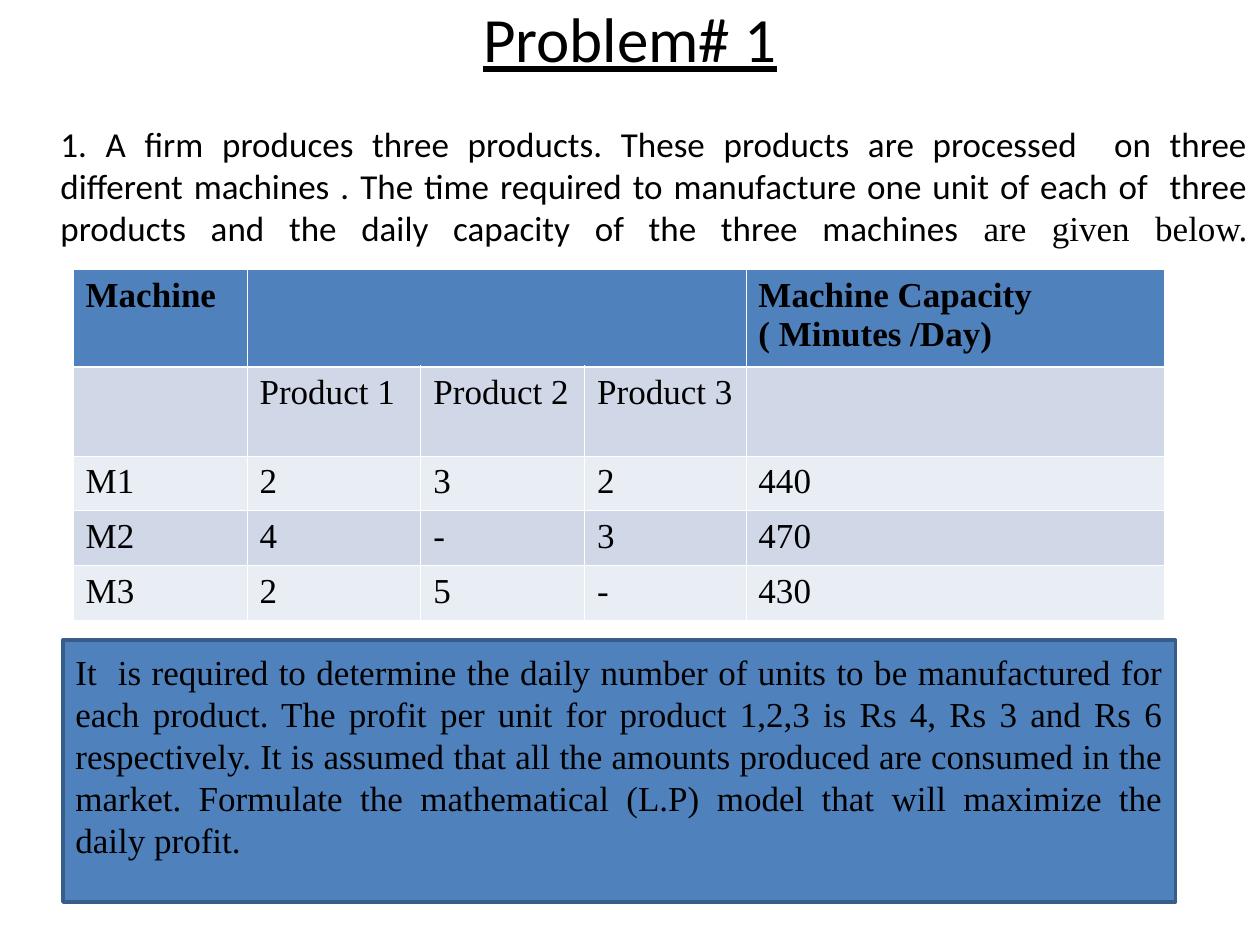
from lxml import etree
from pptx import Presentation, util as u
from pptx.dml.color import RGBColor
from pptx.enum import shapes, text
from pptx.oxml.ns import qn

BLACK = RGBColor(0x00, 0x00, 0x00)
BLUE = RGBColor(0x4F, 0x81, 0xBD)
DARK_BLUE = RGBColor(0x38, 0x5D, 0x8A)
BAND = RGBColor(0xD0, 0xD8, 0xE8)
PALE = RGBColor(0xE9, 0xED, 0xF4)
WHITE = RGBColor(0xFF, 0xFF, 0xFF)
SANS, SERIF = "Calibri", "Times New Roman"

COLUMNS = [1.38, 1.38, 1.3, 1.28, 3.32]
ROWS = [0.77, 0.71, 0.43, 0.43, 0.43]
CELLS = [
    ["Machine", "", "", "", "Machine Capacity ( Minutes /Day)"],
    ["", "Product 1", "Product 2", "Product 3", ""],
    ["M1", "2", "3", "2", "440"],
    ["M2", "4", "-", "3", "470"],
    ["M3", "2", "5", "-", "430"],
]
INTRO = ("1. A firm produces three products. These products are processed  on three "
         "different machines . The time required to manufacture one unit of each of  "
         "three products and the daily capacity of the three machines ")
TASK = ("It  is required to determine the daily number of units to be manufactured for "
        "each product. The profit per unit for product 1,2,3 is Rs 4, Rs 3 and Rs 6 "
        "respectively. It is assumed that all the amounts produced are consumed in the "
        "market. Formulate the mathematical (L.P) model that will maximize the daily profit.")


def style(font, name, size=20, bold=False):
    font.name, font.size, font.bold = name, u.Pt(size), bold
    font.color.rgb = BLACK


def add_text(s, left, top, width, height):
    sp = s.shapes.add_textbox(*map(u.Inches, (left, top, width, height)))
    tf = sp.text_frame
    tf.word_wrap = True
    return tf


def add_title(s, words):
    tf = add_text(s, 0.5, 0, 9, 0.83)
    tf.margin_top = 0
    p = tf.paragraphs[0]
    p.text = words
    p.alignment = text.PP_ALIGN.CENTER
    style(p.font, SANS, 36)
    p.font.underline = True


def add_intro(s):
    tf = add_text(s, 0, 0.92, 10, 1.2)
    tf.margin_left = u.Inches(0.48)
    p = tf.paragraphs[0]
    p.alignment = text.PP_ALIGN.JUSTIFY
    for words, name in ((INTRO, SANS), ("are given below.", SERIF)):
        r = p.add_run()
        r.text = words
        style(r.font, name)
    p.add_line_break()  # stretches the last line to full width


def set_borders(cell, widths):
    tcPr = cell._tc.get_or_add_tcPr()
    for side, points in widths.items():
        ln = etree.SubElement(tcPr, qn(f"a:ln{side}"), w=str(u.Pt(points)))
        fill = etree.SubElement(ln, qn("a:solidFill"))
        etree.SubElement(fill, qn("a:srgbClr"), val=str(WHITE))


def add_capacity_table(s):
    frame = s.shapes.add_table(len(ROWS), len(COLUMNS), u.Inches(0.58), u.Inches(2.14),
                               u.Inches(sum(COLUMNS)), u.Inches(sum(ROWS)))
    table = frame.table
    for column, width in zip(table.columns, COLUMNS):
        column.width = u.Inches(width)
    for row, height in zip(table.rows, ROWS):
        row.height = u.Inches(height)
    table.cell(0, 1).merge(table.cell(0, 3))
    for i, values in enumerate(CELLS):
        fill = BLUE if i == 0 else BAND if i % 2 else PALE
        widths = {"L": 0.45, "R": 0.45, "T": 1.47 if i == 1 else 0.45,
                  "B": 1.47 if i == 0 else 0.45}
        for j, value in enumerate(values):
            cell = table.cell(i, j)
            set_borders(cell, widths)
            cell.fill.solid()
            cell.fill.fore_color.rgb = fill
            p = cell.text_frame.paragraphs[0]
            p.text = value
            style(p.font, SERIF, bold=i == 0)


def add_task_box(s):
    sp = s.shapes.add_shape(shapes.MSO_SHAPE.RECTANGLE, u.Inches(0.5), u.Inches(5.08),
                            u.Inches(8.83), u.Inches(2.08))
    sp.shadow.inherit = False
    sp.fill.solid()
    sp.fill.fore_color.rgb = BLUE
    sp.line.color.rgb = DARK_BLUE
    sp.line.width = u.Pt(2)
    tf = sp.text_frame
    tf.word_wrap = True
    tf.vertical_anchor = text.MSO_ANCHOR.TOP
    tf.margin_top = u.Inches(0.08)
    p = tf.paragraphs[0]
    p.text = TASK
    p.alignment = text.PP_ALIGN.JUSTIFY
    style(p.font, SERIF)


def main():
    prs = Presentation()
    prs.slide_width, prs.slide_height = u.Inches(10), u.Inches(7.5)
    s = prs.slides.add_slide(prs.slide_layouts[6])
    # Heading and problem statement
    add_title(s, "Problem# 1")
    add_intro(s)
    # Machine times and capacities
    add_capacity_table(s)
    # What has to be found
    add_task_box(s)
    prs.save("out.pptx")


if __name__ == "__main__":
    main()
